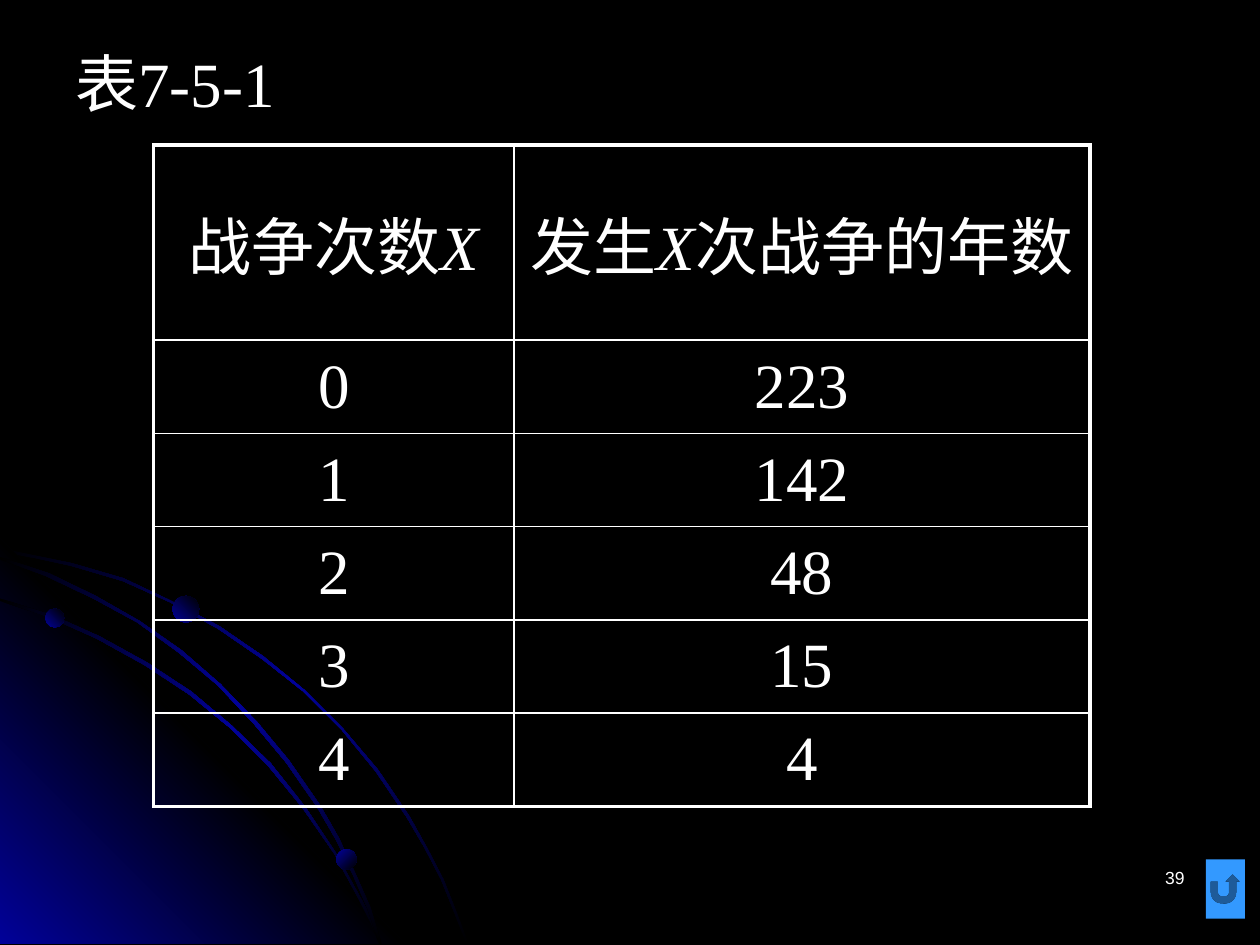
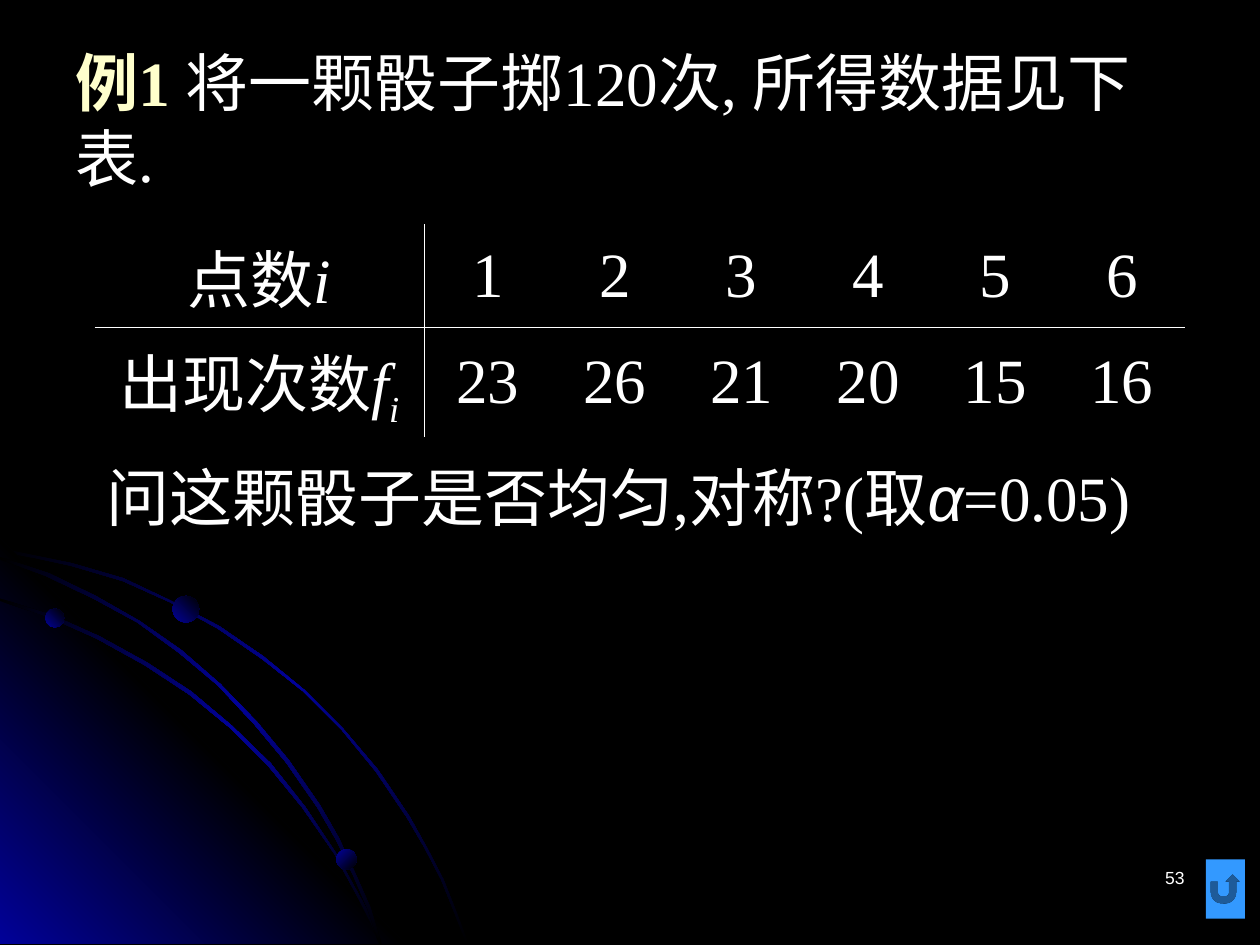
from pptx import Presentation
from pptx.dml.color import RGBColor
from pptx.enum.shapes import MSO_SHAPE
from pptx.enum.text import MSO_ANCHOR, MSO_AUTO_SIZE, PP_ALIGN
from pptx.oxml import parse_xml
from pptx.oxml.ns import nsdecls
from pptx.util import Inches, Pt

OVAL, RETURN_BUTTON = MSO_SHAPE.OVAL, MSO_SHAPE.ACTION_BUTTON_RETURN
CENTER, RIGHT, MIDDLE = PP_ALIGN.CENTER, PP_ALIGN.RIGHT, MSO_ANCHOR.MIDDLE
GROW = MSO_AUTO_SIZE.SHAPE_TO_FIT_TEXT

COLORS = {"back": "000000", "glow": "010199", "text": "FFFFFF",
          "accent": "FFFFCC", "button": "3399FF"}
SERIF, SANS = "Times New Roman", "Arial"
BODY_SIZE, NUMBER_SIZE = 36, 10
THICK, THIN = 2.25, 1

# Gradient stops run along a clockwise angle.
STREAK = (("back", "glow", "back"), 45)
CORNER = (("glow", "back", "glow"), 315)

OUTER_ARC = [
    (0.57, 4.47), (0.28, 4.41), (0, 4.35), (0, 4.38), (0.28, 4.43), (0.56, 4.49),
    (0.97, 4.61), (1.35, 4.78), (1.73, 4.99), (2.08, 5.23), (2.41, 5.49),
    (2.71, 5.79), (2.98, 6.12), (3.23, 6.49), (3.37, 6.73), (3.5, 6.98),
    (3.6, 7.23), (3.7, 7.49), (3.72, 7.49), (3.62, 7.23), (3.52, 6.98),
    (3.39, 6.73), (3.25, 6.48), (3, 6.11), (2.72, 5.78), (2.42, 5.48),
    (2.09, 5.21), (1.74, 4.97), (1.36, 4.77), (0.98, 4.59)]
INNER_ARC = [
    (2.85, 7.14), (2.94, 7.32), (3.01, 7.49), (3.03, 7.49), (2.96, 7.3),
    (2.86, 7.12), (2.66, 6.76), (2.42, 6.4), (2.15, 6.06), (1.84, 5.76),
    (1.52, 5.49), (1.17, 5.26), (0.79, 5.05), (0.41, 4.88), (0, 4.75),
    (0, 4.77), (0.39, 4.9), (0.77, 5.07), (1.15, 5.28), (1.5, 5.51),
    (1.83, 5.78), (2.13, 6.08), (2.4, 6.41), (2.65, 6.77)]
MIDDLE_ARC = [
    (0, 4.42), (0, 4.44), (0.36, 4.57), (0.74, 4.75), (1.09, 4.94), (1.42, 5.18),
    (1.73, 5.44), (2.02, 5.75), (2.27, 6.05), (2.52, 6.41), (2.67, 6.67),
    (2.8, 6.94), (2.92, 7.22), (3.01, 7.49), (3.03, 7.49), (2.94, 7.2),
    (2.82, 6.93), (2.69, 6.65), (2.54, 6.39), (2.29, 6.03), (2.04, 5.73),
    (1.75, 5.43), (1.44, 5.16), (1.11, 4.93), (0.76, 4.73), (0.39, 4.55)]
OUTLINES = [(OUTER_ARC, STREAK), ([(3.22, 7.49), (0, 7.49), (0, 4.27)], CORNER),
            (INNER_ARC, STREAK), (MIDDLE_ARC, STREAK)]
# left, top, diameter, gradient angle
PLANETS = [(0.36, 4.83, 0.15, 315), (2.67, 6.74, 0.16, 45), (1.37, 4.73, 0.21, 315)]

# Text is a list of (words, style) runs.
ITALIC, SUBSCRIPT = {"italic": True}, {"italic": True, "baseline": -25000}
WAR_TITLE = [("表7-5-1", {})]
WAR_ROWS = [
    [[("战争次数", {}), ("X", ITALIC)],
     [("发生", {}), ("X", ITALIC), ("次战争的年数", {})]],
    ["0", "223"], ["1", "142"], ["2", "48"], ["3", "15"], ["4", "4"]]
DICE_TITLE = [("例1 ", {"bold": True, "color": "accent"}),
              ("将一颗骰子掷120次, 所得数据见下表.", {})]
DICE_ROWS = [
    [[("点数", {}), ("i", ITALIC)], "1", "2", "3", "4", "5", "6"],
    [[("出现次数", {}), ("f", ITALIC), ("i", SUBSCRIPT)],
     "23", "26", "21", "20", "15", "16"]]
DICE_QUESTION = [("问这颗骰子是否均匀,对称?(取", {}),
                 ("α", {"italic": True, "font": SANS}), ("=0.05)", {})]
DICE_WIDTH, DICE_LABEL_WIDTH = 8.66, 2.62


def rgb(name):
    return RGBColor.from_string(COLORS[name])


def paint_gradient(sp, names, angle):
    sp.shadow.inherit = False
    sp.line.fill.background()
    sp.fill.background()
    stops = "".join(
        f'<a:gs pos="{100000 * i // (len(names) - 1)}"><a:srgbClr val="{COLORS[n]}"/></a:gs>'
        for i, n in enumerate(names))
    no_fill = sp.element.spPr.find("{*}noFill")
    no_fill.getparent().replace(no_fill, parse_xml(
        f'<a:gradFill {nsdecls("a")} rotWithShape="1"><a:gsLst>{stops}</a:gsLst>'
        f'<a:lin ang="{angle * 60000}" scaled="1"/></a:gradFill>'))


def write(tf, runs, size=BODY_SIZE, font=SERIF, align=None):
    p = tf.paragraphs[0]
    p.alignment = align
    p.font.size, p.font.name = Pt(size), font
    p.font.color.rgb = rgb("text")
    for words, style in runs:
        r = p.add_run()
        r.text = words
        r.font.size, r.font.name = Pt(size), style.get("font", font)
        r.font.color.rgb = rgb(style.get("color", "text"))
        r.font.bold, r.font.italic = style.get("bold"), style.get("italic")
        if "baseline" in style:
            r.font._element.set("baseline", str(style["baseline"]))


def add_text(slide, box, runs, **options):
    tf = slide.shapes.add_textbox(*map(Inches, box)).text_frame
    tf.word_wrap = True
    write(tf, runs, **options)
    return tf


def new_slide(prs, number, title, title_height):
    slide = prs.slides.add_slide(prs.slide_layouts[6])
    slide.background.fill.solid()
    slide.background.fill.fore_color.rgb = rgb("back")
    for points, gradient in OUTLINES:
        first, *rest = [(Inches(x), Inches(y)) for x, y in points]
        outline = slide.shapes.build_freeform(*first)
        outline.add_line_segments(rest, close=True)
        paint_gradient(outline.convert_to_shape(), *gradient)
    for left, top, size, angle in PLANETS:
        sp = slide.shapes.add_shape(OVAL, *map(Inches, (left, top, size, size)))
        paint_gradient(sp, ("glow", "back"), angle)
    button = slide.shapes.add_shape(RETURN_BUTTON, *map(Inches, (9.57, 6.82, 0.31, 0.47)))
    button.shadow.inherit = False
    button.fill.solid()
    button.fill.fore_color.rgb = rgb("button")
    button.line.fill.background()
    add_text(slide, (7.17, 6.83, 2.33, 0.5), [(number, {})],
             size=NUMBER_SIZE, font=SANS, align=RIGHT)
    add_text(slide, (0.5, 0.3, 9, title_height), title)
    return slide


def set_borders(cell, widths):
    """Draw left, right, top and bottom borders; a width of 0 hides one."""
    tc_pr = cell._tc.get_or_add_tcPr()
    for i, (side, width) in enumerate(zip("LRTB", widths)):
        fill = (f'<a:solidFill><a:srgbClr val="{COLORS["text"]}"/></a:solidFill>'
                if width else "<a:noFill/>")
        tc_pr.insert(i, parse_xml(
            f'<a:ln{side} {nsdecls("a")} w="{Pt(width)}">{fill}</a:ln{side}>'))


def add_grid(slide, left, top, col_widths, row_heights, rows, frame):
    """Rule the rows and the first column; frame is the outer border width."""
    n_rows, n_cols = len(rows), len(col_widths)
    table = slide.shapes.add_table(
        n_rows, n_cols, Inches(left), Inches(top),
        Inches(sum(col_widths)), Inches(sum(row_heights))).table
    table.first_row = table.horz_banding = False
    for column, width in zip(table.columns, col_widths):
        column.width = Inches(width)
    rules_x = [frame, THIN] + [0] * (n_cols - 2) + [frame]
    rules_y = [frame] + [THIN] * (n_rows - 1) + [frame]
    for y, (row, height) in enumerate(zip(rows, row_heights)):
        table.rows[y].height = Inches(height)
        for x, content in enumerate(row):
            cell = table.cell(y, x)
            cell.fill.background()
            cell.vertical_anchor = MIDDLE
            runs = [(content, {})] if isinstance(content, str) else content
            write(cell.text_frame, runs, align=CENTER)
            set_borders(cell, rules_x[x:x + 2] + rules_y[y:y + 2])


def main():
    prs = Presentation()
    prs.slide_width, prs.slide_height = Inches(10), Inches(7.5)

    slide = new_slide(prs, "39", WAR_TITLE, 1.25)
    add_grid(slide, 1.22, 1.15, [2.86, 4.57], [1.55] + [0.74] * 5, WAR_ROWS, THICK)

    slide = new_slide(prs, "53", DICE_TITLE, 1.4)
    count_width = (DICE_WIDTH - DICE_LABEL_WIDTH) / 6
    add_grid(slide, 0.75, 1.78, [DICE_LABEL_WIDTH] + [count_width] * 6,
             [0.82, 0.87], DICE_ROWS, 0)
    question = add_text(slide, (0.75, 3.59, 8.35, 0.7), DICE_QUESTION)
    question.auto_size = GROW

    prs.save("out.pptx")


if __name__ == "__main__":
    main()
